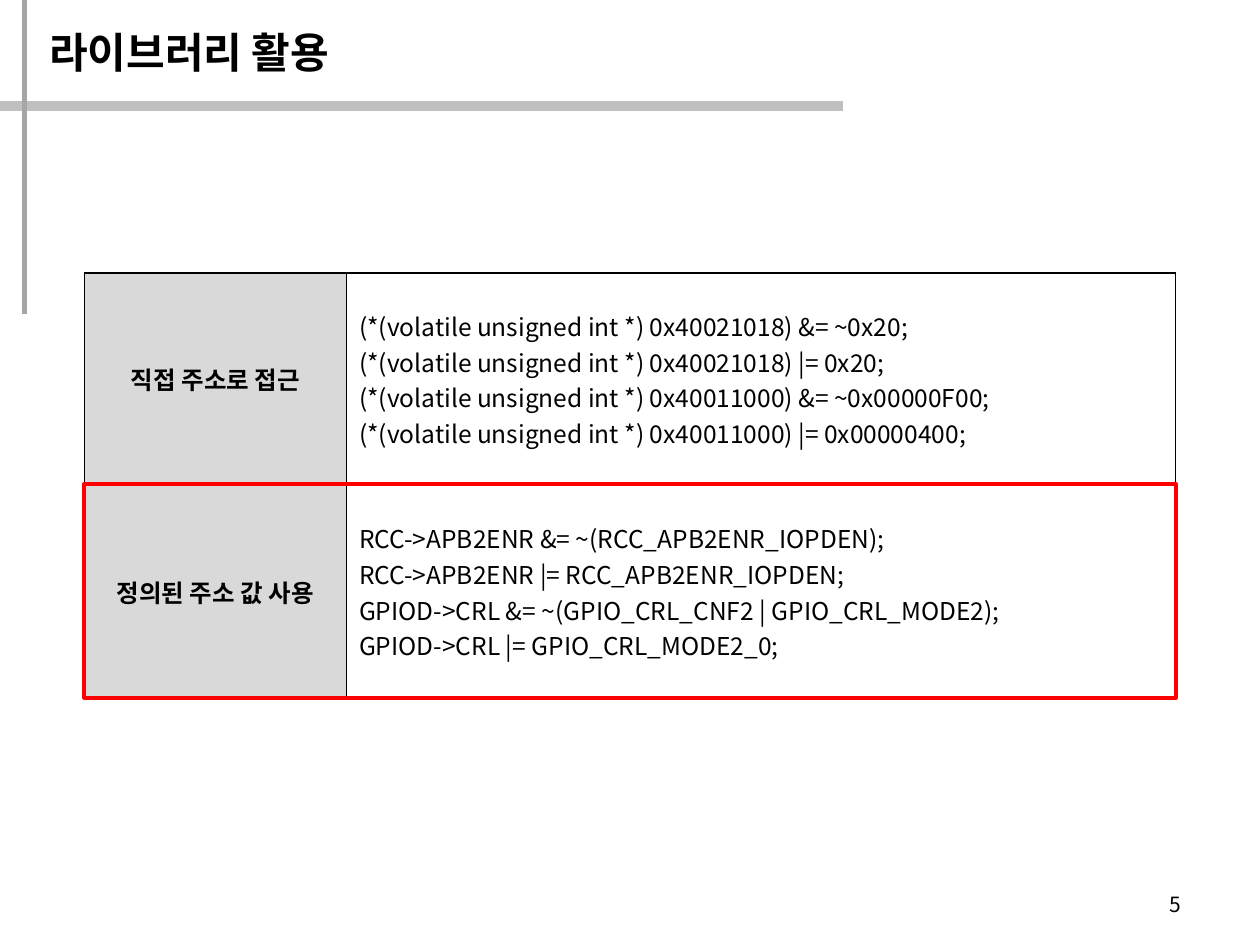
from dataclasses import dataclass

from lxml import etree
from pptx import Presentation
from pptx.dml.color import RGBColor
from pptx.enum.shapes import MSO_CONNECTOR, MSO_SHAPE
from pptx.enum.text import MSO_ANCHOR, PP_ALIGN
from pptx.oxml.ns import qn
from pptx.util import Pt

STRAIGHT = MSO_CONNECTOR.STRAIGHT
RECTANGLE = MSO_SHAPE.RECTANGLE
MIDDLE = MSO_ANCHOR.MIDDLE
LEFT, CENTER, RIGHT = PP_ALIGN.LEFT, PP_ALIGN.CENTER, PP_ALIGN.RIGHT


@dataclass(frozen=True)
class Theme:
    black: RGBColor = RGBColor(0, 0, 0)
    red: RGBColor = RGBColor(0xFF, 0, 0)
    rule: RGBColor = RGBColor(0xBF, 0xBF, 0xBF)
    margin_rule: RGBColor = RGBColor(0xA6, 0xA6, 0xA6)
    label_fill: RGBColor = RGBColor(0xD9, 0xD9, 0xD9)
    font: str = "Noto Sans CJK KR"
    title_font: str = "Times New Roman"
    title_size: int = 24
    body_size: int = 14
    number_size: int = 12


THEME = Theme()


def write_text(text_frame, text, size, align=LEFT, bold=False, font=THEME.font):
    """Fill a frame, one paragraph a line; Hangul always takes the body font."""
    text_frame.text = text
    text_frame.word_wrap = True
    for paragraph in text_frame.paragraphs:
        paragraph.alignment = align
        paragraph.font.name = font
        paragraph.font.size = Pt(size)
        paragraph.font.bold = bold
        paragraph.font.color.rgb = THEME.black
        properties = paragraph.font._element
        etree.SubElement(properties, qn("a:ea"), typeface=THEME.font)


def add_borders(cell, width, color):
    properties = cell._tc.get_or_add_tcPr()
    for side in ("a:lnL", "a:lnR", "a:lnT", "a:lnB"):
        border = etree.SubElement(properties, qn(side), w=str(Pt(width)))
        fill = etree.SubElement(border, qn("a:solidFill"))
        etree.SubElement(fill, qn("a:srgbClr"), val=str(color))


presentation = Presentation()
presentation.slide_width, presentation.slide_height = Pt(720), Pt(540)
slide = presentation.slides.add_slide(presentation.slide_layouts[6])
shapes = slide.shapes

# Rules that frame the title
for x1, y1, x2, y2, color, width in (
    (-0.5, 60.5, 481.5, 60.5, THEME.rule, 6),
    (14.2, 0, 14.2, 179.5, THEME.margin_rule, 3),
):
    rule = shapes.add_connector(STRAIGHT, Pt(x1), Pt(y1), Pt(x2), Pt(y2))
    rule.line.color.rgb = color
    rule.line.width = Pt(width)
    etree.SubElement(rule._element.spPr, qn("a:effectLst"))

# Title and page number
title = shapes.add_textbox(Pt(21), Pt(7.5), Pt(544), Pt(44.5))
title.text_frame.vertical_anchor = MIDDLE
write_text(title.text_frame, "라이브러리 활용", THEME.title_size, bold=True,
           font=THEME.title_font)

page_number = shapes.add_textbox(Pt(514), Pt(502), Pt(168), Pt(28.8))
page_number.text_frame.vertical_anchor = MIDDLE
write_text(page_number.text_frame, "5", THEME.number_size, align=RIGHT)

# Two ways to reach the registers
access_methods = (
    ("직접 주소로 접근", (
        "(*(volatile unsigned int *) 0x40021018) &= ~0x20;",
        "(*(volatile unsigned int *) 0x40021018) |= 0x20;",
        "(*(volatile unsigned int *) 0x40011000) &= ~0x00000F00;",
        "(*(volatile unsigned int *) 0x40011000) |= 0x00000400;",
    )),
    ("정의된 주소 값 사용", (
        "RCC->APB2ENR &= ~(RCC_APB2ENR_IOPDEN);",
        "RCC->APB2ENR |= RCC_APB2ENR_IOPDEN;",
        "GPIOD->CRL &= ~(GPIO_CRL_CNF2 | GPIO_CRL_MODE2);",
        "GPIOD->CRL |= GPIO_CRL_MODE2_0;",
    )),
)
table_left, table_top, row_height = 48.2, 156, 121.4
column_widths = (149.8, 473.8)
table_width = sum(column_widths)

table = shapes.add_table(
    len(access_methods), len(column_widths), Pt(table_left), Pt(table_top),
    Pt(table_width), Pt(row_height * len(access_methods)),
).table
table.first_row = table.horz_banding = False
for column, width in zip(table.columns, column_widths):
    column.width = Pt(width)

for row, (label, code_lines) in zip(table.rows, access_methods):
    row.height = Pt(row_height)
    label_cell, code_cell = row.cells
    for cell in (label_cell, code_cell):
        cell.vertical_anchor = MIDDLE
        add_borders(cell, 1, THEME.black)
    label_cell.fill.solid()
    label_cell.fill.fore_color.rgb = THEME.label_fill
    code_cell.fill.background()
    write_text(label_cell.text_frame, label, THEME.body_size, CENTER, bold=True)
    write_text(code_cell.text_frame, "\n".join(code_lines), THEME.body_size)

# Frame around the second row
highlight = shapes.add_shape(
    RECTANGLE, Pt(table_left), Pt(table_top + row_height - 1),
    Pt(table_width), Pt(row_height + 1),
)
highlight.shadow.inherit = False
highlight.fill.background()
highlight.line.color.rgb = THEME.red
highlight.line.width = Pt(2.25)

presentation.save("out.pptx")
